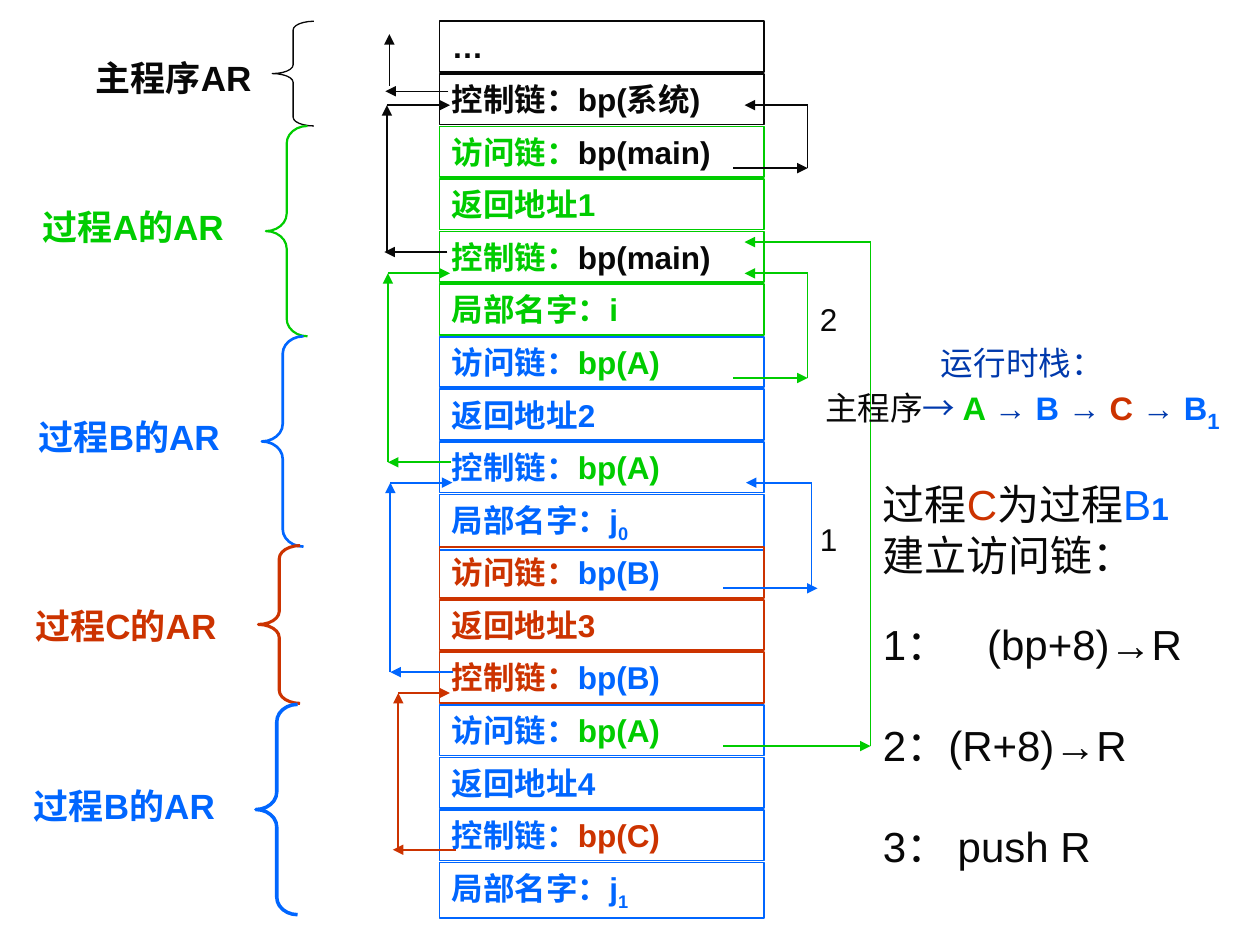
from pptx import Presentation
from pptx.dml.color import RGBColor
from pptx.enum.shapes import MSO_CONNECTOR as Connector, MSO_SHAPE as Preset
from pptx.enum.text import MSO_ANCHOR as Anchor, PP_ALIGN as Align
from pptx.oxml.ns import qn
from pptx.util import Cm, Pt
from lxml.etree import SubElement

BLACK, GREEN, BLUE, RED, NAVY = "080808", "00CC00", "0066FF", "CC3300", "0039AC"


def color(value):
    return RGBColor.from_string(value)


def write(paragraph, text, fill=BLACK, size=18, bold=False, subscript=False):
    run = paragraph.add_run()
    run.text = text
    run.font.name = "Arial"
    run.font.size = Pt(size)
    run.font.bold = bold
    run.font.color.rgb = color(fill)
    if subscript:
        run._r.get_or_add_rPr().set("baseline", "-25000")


class StackSlide:
    frame_left, frame_width, frame_height = 8.86, 6.55, 1.02
    first_top, pitch = 0.43, 1.06
    brace_width = 0.84

    def __init__(self, presentation):
        self.slide = presentation.slides.add_slide(presentation.slide_layouts[6])

    def shape(self, preset, left, top, width, height, line, weight):
        shape = self.slide.shapes.add_shape(preset, Cm(left), Cm(top), Cm(width), Cm(height))
        shape.shadow.inherit = False
        shape.fill.background()
        shape.line.color.rgb = color(line)
        shape.line.width = Pt(weight)
        return shape

    def cell(self, row, line, label, value="", value_fill=BLACK, subscript=""):
        height = self.frame_height + (0.1 if subscript else 0)
        top = self.first_top + row * self.pitch
        shape = self.shape(Preset.RECTANGLE, self.frame_left, top, self.frame_width, height, line, 1)
        shape.text_frame.word_wrap = True
        shape.text_frame.vertical_anchor = Anchor.TOP
        paragraph = shape.text_frame.paragraphs[0]
        paragraph.alignment = Align.LEFT
        write(paragraph, label, fill=line, bold=True)
        if value:
            write(paragraph, value, fill=value_fill, bold=True)
        if subscript:
            write(paragraph, subscript, fill=line, bold=True, subscript=True)

    def brace(self, left, top, height, line, weight):
        shape = self.shape(Preset.LEFT_BRACE, left, top, self.brace_width, height, line, weight)
        shape.adjustments[0] = height / 12 / self.brace_width
        shape.adjustments[1] = 0.5

    def text(self, left, top, width, height, wrap=True, anchor=Anchor.TOP):
        shape = self.slide.shapes.add_textbox(Cm(left), Cm(top), Cm(width), Cm(height))
        shape.text_frame.word_wrap = wrap
        shape.text_frame.vertical_anchor = anchor
        return shape.text_frame

    def label(self, left, top, width, text, **style):
        frame = self.text(left, top, width, 1.1)
        write(frame.paragraphs[0], text, **style)

    def line(self, start, end, fill, weight, arrow=True):
        connector = self.slide.shapes.add_connector(
            Connector.STRAIGHT, *(Cm(value) for value in (*start, *end)))
        connector.line.color.rgb = color(fill)
        connector.line.width = Pt(weight)
        if arrow:
            SubElement(connector.line._get_or_add_ln(), qn("a:tailEnd"), type="triangle")
        SubElement(connector._element.spPr, qn("a:effectLst"))

    def link(self, fill, weight, start, tip, spine, end, bottom, top, spine_arrow):
        self.line((start, bottom), (tip, bottom), fill, weight)
        self.line((spine, bottom), (spine, top), fill, weight, spine_arrow)
        self.line((spine, top), (end, top), fill, weight)


def draw_frames(stack):
    access, control, local = "访问链：", "控制链：", "局部名字："
    cells = [
        (BLACK, "…"),
        (BLACK, control + "bp(系统)"),
        (GREEN, access, "bp(main)"),
        (GREEN, "返回地址1"),
        (GREEN, control, "bp(main)"),
        (GREEN, local + "i"),
        (BLUE, access, "bp(A)", GREEN),
        (BLUE, "返回地址2"),
        (BLUE, control, "bp(A)", GREEN),
        (BLUE, local + "j", "", BLUE, "0"),
        (RED, access, "bp(B)", BLUE),
        (RED, "返回地址3"),
        (RED, control, "bp(B)", BLUE),
        (BLUE, access, "bp(A)", GREEN),
        (BLUE, "返回地址4"),
        (BLUE, control, "bp(C)", RED),
        (BLUE, local + "j", "", BLUE, "1"),
    ]
    for row, cell in enumerate(cells):
        stack.cell(row, *cell)


def draw_links(stack):
    control_links = [
        (RED, 9.19, 7.92, 8.03, 9.07, 17.13, 13.97),
        (BLUE, 9.14, 7.87, 7.87, 9.12, 13.55, 9.73),
        (GREEN, 9.09, 7.82, 7.82, 9.07, 9.32, 5.51),
        (BLACK, 9.02, 7.75, 7.8, 9.07, 5.08, 2.12),
    ]
    access_links = [
        (GREEN, 14.58, 17.55, 17.55, 15.01, 15.04, 4.88),
        (BLUE, 14.58, 16.48, 16.36, 15.04, 11.86, 9.73),
        (GREEN, 14.78, 16.28, 16.28, 15.01, 7.62, 5.51),
        (BLACK, 14.78, 16.28, 16.28, 15.01, 3.39, 2.12),
    ]
    for links, weight, spine_arrow in ((control_links, 1.25, True), (access_links, 1, False)):
        for fill, *places in links:
            stack.link(fill, weight, *places, spine_arrow)
    stack.line((9.04, 1.84), (7.77, 1.84), BLACK, 0.75)
    stack.line((7.85, 1.73), (7.85, 0.69), BLACK, 0.75)
    stack.label(16.28, 10.36, 1.47, "1")
    stack.label(16.28, 5.92, 1.47, "2")


def draw_records(stack):
    records = [
        ("主程序AR", BLACK, 0.75, 5.49, 0.43, 2.11, 1.68, 1.02),
        ("过程A的AR", GREEN, 1.25, 5.36, 2.54, 4.24, 0.61, 4.01),
        ("过程B的AR", BLUE, 1.5, 5.28, 6.78, 4.24, 0.53, 8.26),
        ("过程C的AR", RED, 1.75, 5.21, 11, 3.18, 0.46, 12.07),
        ("过程B的AR", BLUE, 2, 5.16, 14.2, 4.24, 0.43, 15.7),
    ]
    for name, fill, weight, left, top, height, label_left, label_top in records:
        stack.brace(left, top, height, fill, weight)
        stack.label(label_left, label_top, 4.88, name, fill=fill, size=20, bold=True)


def draw_call_order(stack):
    frame = stack.text(16.05, 6.78, 9.12, 2.11, anchor=Anchor.MIDDLE)
    paragraph = frame.paragraphs[0]
    paragraph.alignment = Align.CENTER
    write(paragraph, "运行时栈：", fill=NAVY, size=18.6)
    paragraph.add_line_break()
    write(paragraph, "主程序", size=18.6)
    for name, fill in (("A ", GREEN), ("B ", BLUE), ("C ", RED), ("B", BLUE)):
        write(paragraph, "→ ", fill=NAVY, size=18.6)
        write(paragraph, name, fill=fill, size=18.6, bold=True)
    write(paragraph, "1", fill=BLUE, size=21.7, bold=True, subscript=True)


def draw_steps(stack):
    frame = stack.text(17.55, 9.53, 6.88, 8.13, wrap=False)
    heading = frame.paragraphs[0]
    for text, fill in (("过程", BLACK), ("C", RED), ("为过程", BLACK), ("B", BLUE)):
        write(heading, text, fill=fill, size=24)
    write(heading, "1", fill=BLUE, bold=True)
    lines = [("建立访问链：", 0), ("1：\t(bp+8)→R", 22), ("2：(R+8)→R", 29), ("3： push R", 29)]
    for text, gap in lines:
        paragraph = frame.add_paragraph()
        paragraph.space_before = Pt(gap)
        if "\t" in text:
            tabs = SubElement(paragraph._p.get_or_add_pPr(), qn("a:tabLst"))
            SubElement(tabs, qn("a:tab"), pos=str(Cm(2.1)), algn="l")
        write(paragraph, text, size=24)


def main():
    presentation = Presentation()
    presentation.slide_width = Cm(25.4)
    presentation.slide_height = Cm(19.05)
    stack = StackSlide(presentation)
    for draw in (draw_frames, draw_links, draw_records, draw_call_order, draw_steps):
        draw(stack)
    presentation.save("out.pptx")


if __name__ == "__main__":
    main()
